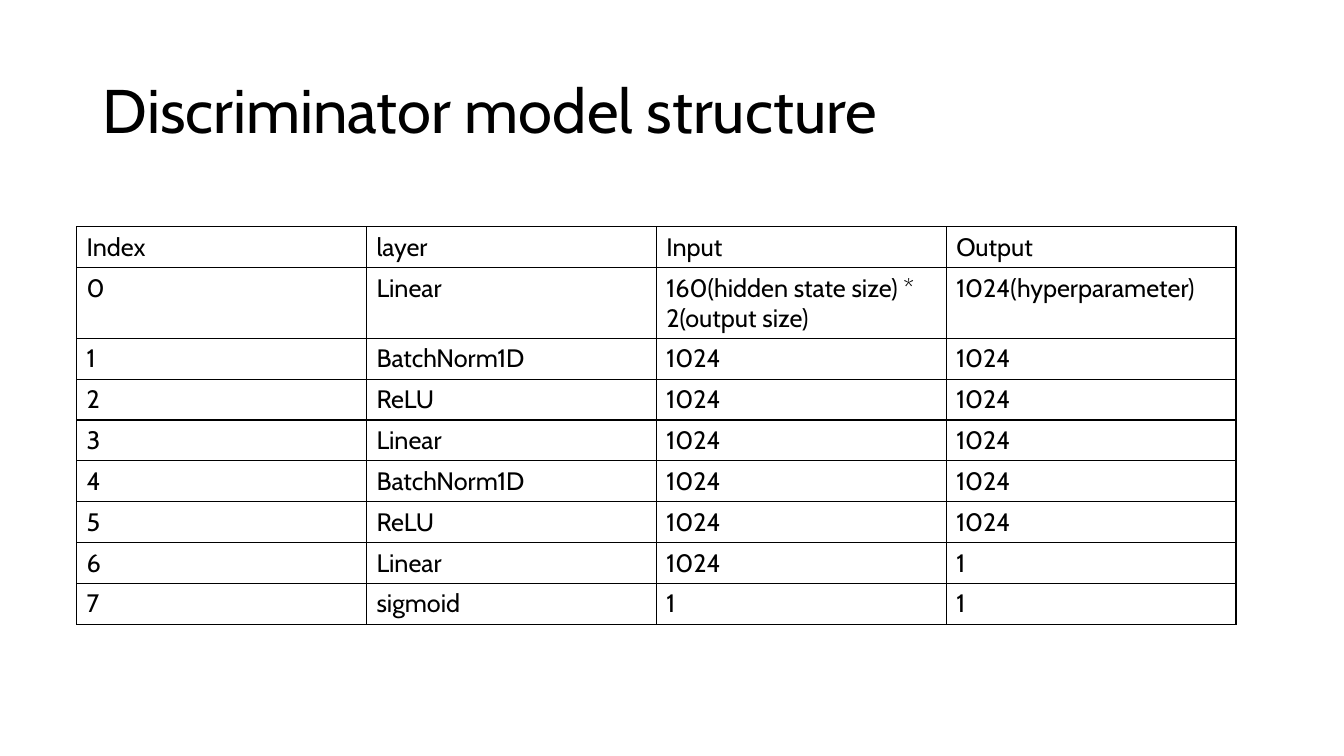
from lxml import etree
from pptx import Presentation
from pptx import util as u
from pptx.dml import color
from pptx.enum import text
from pptx.oxml import ns

COLORS = {"text": "000000", "border": "000000", "background": "FFFFFF"}
HEADINGS = ("Index", "layer", "Input", "Output")
LAYERS = (
    ("Linear", "160(hidden state size) * 2(output size)", "1024(hyperparameter)"),
    ("BatchNorm1D", "1024", "1024"),
    ("ReLU", "1024", "1024"),
    ("Linear", "1024", "1024"),
    ("BatchNorm1D", "1024", "1024"),
    ("ReLU", "1024", "1024"),
    ("Linear", "1024", "1"),
    ("sigmoid", "1", "1"),
)


class SlideBuilder:
    """Hold the slide and its style, and add each kind of element."""

    def __init__(self, slide):
        self.slide = slide
        self.font_name = "Cabin"
        background = slide.background.fill
        background.solid()
        background.fore_color.rgb = color.RGBColor.from_string(COLORS["background"])

    def set_text(self, paragraph, content, size):
        paragraph.text = content
        font = paragraph.runs[0].font
        for name, value in {"name": self.font_name, "size": u.Pt(size)}.items():
            setattr(font, name, value)
        font.color.rgb = color.RGBColor.from_string(COLORS["text"])

    def add_title(self, content, left, top, width, height):
        box = self.slide.shapes.add_textbox(*map(u.Inches, (left, top, width, height)))
        frame = box.text_frame
        settings = {"word_wrap": True, "vertical_anchor": text.MSO_ANCHOR.MIDDLE}
        for name, value in settings.items():
            setattr(frame, name, value)
        paragraph = frame.paragraphs[0]
        paragraph.line_spacing = 0.9
        self.set_text(paragraph, content, 44)

    def add_borders(self, cell, width):
        properties = cell._tc.get_or_add_tcPr()
        for position, side in enumerate(("lnL", "lnR", "lnT", "lnB")):
            line = etree.Element(ns.qn(f"a:{side}"), w=str(u.Pt(width)))
            fill = etree.SubElement(line, ns.qn("a:solidFill"))
            etree.SubElement(fill, ns.qn("a:srgbClr"), val=COLORS["border"])
            properties.insert(position, line)

    def add_table(self, rows, left, top, width, height):
        frame = self.slide.shapes.add_table(
            len(rows), len(rows[0]), *map(u.Inches, (left, top, width, height))
        )
        table = frame.table
        for name, value in {"first_row": False, "horz_banding": False}.items():
            setattr(table, name, value)
        for row_index, row in enumerate(rows):
            for column_index, content in enumerate(row):
                cell = table.cell(row_index, column_index)
                cell.fill.background()
                self.add_borders(cell, 1)
                self.set_text(cell.text_frame.paragraphs[0], content, 18)


def main():
    presentation = Presentation()
    presentation.slide_width = u.Inches(13.33)
    presentation.slide_height = u.Inches(7.5)
    builder = SlideBuilder(presentation.slides.add_slide(presentation.slide_layouts[6]))
    builder.add_title("Discriminator model structure", 0.92, 0.4, 11.5, 1.45)
    rows = [HEADINGS] + [(str(index), *layer) for index, layer in enumerate(LAYERS)]
    builder.add_table(rows, 0.76, 2.25, 11.5, 3.65)
    presentation.save("out.pptx")


if __name__ == "__main__":
    main()
